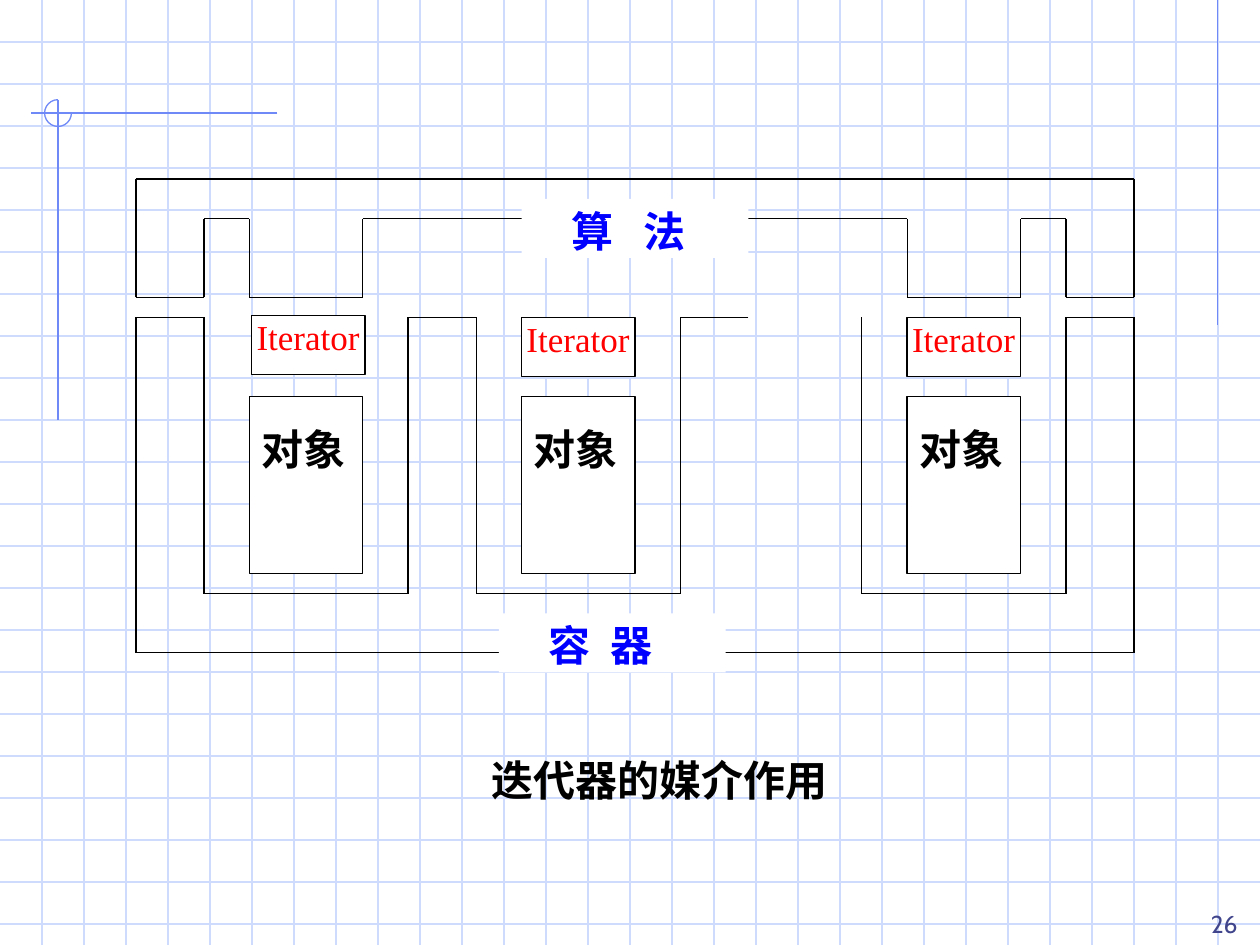
from dataclasses import dataclass
from itertools import pairwise
from typing import Iterable, Optional

import lxml.etree
import pptx
import pptx.dml.color
import pptx.enum.shapes
import pptx.enum.text
import pptx.oxml.ns
import pptx.shapes.autoshape
import pptx.slide
import pptx.util

Cm = pptx.util.Cm
Pt = pptx.util.Pt
Align = pptx.enum.text.PP_ALIGN
Anchor = pptx.enum.text.MSO_ANCHOR
Point = tuple[float, float]


@dataclass(frozen=True)
class TextStyle:
    font: str
    size: float
    color: str
    bold: bool = False
    align: Align = Align.JUSTIFY
    anchor: Anchor = Anchor.TOP
    insets: tuple[float, float, float, float] = (0.25, 0.13, 0.25, 0.13)
    tracking: int = 0


@dataclass(frozen=True)
class Theme:
    grid: str = "CFDBFD"
    ornament: str = "6F89F7"
    ink: str = "000000"
    paper: str = "FFFFFF"
    stroke: float = 0.75
    iterator: TextStyle = TextStyle("Times New Roman", 20, "FF0000", insets=(0.1, 0, 0, 0))
    element: TextStyle = TextStyle("Times New Roman", 24, "000000", True, insets=(0.25, 0.54, 0.25, 0.13))
    algorithm: TextStyle = TextStyle("Times New Roman", 24, "0000FF", True, insets=(1, 0.13, 0.25, 0.13), tracking=600)
    container: TextStyle = TextStyle("Times New Roman", 24, "0000FF", True, insets=(1, 0.13, 0.25, 0.13), tracking=300)
    caption: TextStyle = TextStyle("Cabin", 24, "000000", True, Align.CENTER)
    number: TextStyle = TextStyle("Cabin", 14, "40458C", False, Align.RIGHT, Anchor.BOTTOM)


@dataclass(frozen=True)
class Block:
    text: str
    column: float
    row: float
    columns: float
    rows: float
    style: TextStyle
    outlined: bool = True


THEME = Theme()
PAGE_WIDTH, PAGE_HEIGHT = 25.4, 19.05
GRID_STEP = 2.54 / 3
DIAGRAM_LEFT, DIAGRAM_TOP = 2.74, 3.61
COLUMN = 20.12 / 44
ROW = 9.55 / 24

ALGORITHM_OUTLINE = [
    (0, 0), (44, 0), (44, 6), (41, 6), (41, 2), (39, 2), (39, 6), (34, 6), (34, 2),
    (10, 2), (10, 6), (5, 6), (5, 2), (3, 2), (3, 6), (0, 6), (0, 0),
]
CONTAINER_OUTLINE = [
    (27, 7), (24, 7), (24, 21), (15, 21), (15, 7), (12, 7), (12, 21), (3, 21), (3, 7),
    (0, 7), (0, 24), (44, 24), (44, 7), (41, 7), (41, 21), (32, 21), (32, 7),
]
ITERATOR_PLACES = [(5.1, 6.9), (17, 7), (34, 7)]
ELEMENT_COLUMNS = [5, 17, 34]
BLOCKS = [
    *(Block("Iterator", column, row, 5, 3, THEME.iterator) for column, row in ITERATOR_PLACES),
    *(Block("对象", column, 11, 5, 9, THEME.element) for column in ELEMENT_COLUMNS),
    Block("容 器", 16, 22, 10, 3, THEME.container, False),
    Block("算 法", 17, 1, 10, 3, THEME.algorithm, False),
]


def rgb(color: str) -> pptx.dml.color.RGBColor:
    return pptx.dml.color.RGBColor.from_string(color)


def on_diagram(point: Point) -> Point:
    return DIAGRAM_LEFT + point[0] * COLUMN, DIAGRAM_TOP + point[1] * ROW


def draw_line(page: pptx.slide.Slide, start: Point, end: Point, color: str) -> None:
    line = page.shapes.add_connector(
        pptx.enum.shapes.MSO_CONNECTOR.STRAIGHT, Cm(start[0]), Cm(start[1]), Cm(end[0]), Cm(end[1])
    )
    line.line.color.rgb = rgb(color)
    line.line.width = Pt(THEME.stroke)
    properties = line._element.spPr
    lxml.etree.SubElement(properties, pptx.oxml.ns.qn("a:effectLst"))


def draw_outline(page: pptx.slide.Slide, points: Iterable[Point]) -> None:
    for start, end in pairwise(map(on_diagram, points)):
        draw_line(page, start, end, THEME.ink)


def write_text(box: pptx.shapes.autoshape.Shape, text: str, style: TextStyle) -> None:
    frame = box.text_frame
    frame.text = text
    frame.word_wrap = True
    frame.vertical_anchor = style.anchor
    left, top, right, bottom = map(Cm, style.insets)
    frame.margin_left, frame.margin_top = left, top
    frame.margin_right, frame.margin_bottom = right, bottom
    para = frame.paragraphs[0]
    para.alignment = style.align
    for span in para.runs:
        span.font.name = style.font
        span.font.size = Pt(style.size)
        span.font.bold = style.bold
        span.font.color.rgb = rgb(style.color)
        if style.tracking:
            span.font._element.set("spc", str(style.tracking))


def draw_block(page: pptx.slide.Slide, block: Block) -> None:
    left, top = on_diagram((block.column, block.row))
    box = page.shapes.add_shape(
        pptx.enum.shapes.MSO_SHAPE.RECTANGLE,
        Cm(left), Cm(top), Cm(block.columns * COLUMN), Cm(block.rows * ROW),
    )
    box.shadow.inherit = False
    box.fill.solid()
    box.fill.fore_color.rgb = rgb(THEME.paper)
    if block.outlined:
        box.line.color.rgb = rgb(THEME.ink)
        box.line.width = Pt(THEME.stroke)
    else:
        box.line.fill.background()
    write_text(box, block.text, block.style)


def draw_text(
    page: pptx.slide.Slide, text: str, left: float, top: float, width: float, height: float, style: TextStyle
) -> pptx.shapes.autoshape.Shape:
    box = page.shapes.add_textbox(Cm(left), Cm(top), Cm(width), Cm(height))
    write_text(box, text, style)
    return box


def draw_backdrop(page: pptx.slide.Slide) -> None:
    for index in range(1, 23):
        y = index * GRID_STEP
        draw_line(page, (0, y), (PAGE_WIDTH, y), THEME.grid)
    for index in range(1, 30):
        x = index * GRID_STEP
        draw_line(page, (x, 0), (x, PAGE_HEIGHT), THEME.grid)
    draw_line(page, (24.55, 0), (24.55, 6.55), THEME.ornament)
    draw_line(page, (5.59, 2.28), (0.63, 2.28), THEME.ornament)
    draw_line(page, (1.17, 2.02), (1.17, 8.47), THEME.ornament)
    arc = page.shapes.add_shape(pptx.enum.shapes.MSO_SHAPE.ARC, Cm(0.9), Cm(2.01), Cm(0.54), Cm(0.54))
    arc.adjustments[0] = 0
    arc.adjustments[1] = 162
    arc.shadow.inherit = False
    arc.fill.background()
    arc.line.color.rgb = rgb(THEME.ornament)
    arc.line.width = Pt(THEME.stroke)


def draw_caption(page: pptx.slide.Slide) -> None:
    caption = draw_text(page, "迭代器的媒介作用", 1.47, 15.04, 22.86, 2.97, THEME.caption)
    para = caption.text_frame.paragraphs[0]
    para.line_spacing = Pt(30)
    para.space_before = Pt(6)
    properties = para._p.get_or_add_pPr()
    properties.set("marL", str(Cm(1.32)))
    properties.set("indent", str(Cm(-0.53)))


def main(deck_name: Optional[str] = None) -> None:
    deck = pptx.Presentation()
    deck.slide_width, deck.slide_height = Cm(PAGE_WIDTH), Cm(PAGE_HEIGHT)
    page = deck.slides.add_slide(deck.slide_layouts[6])
    draw_backdrop(page)
    draw_caption(page)
    draw_outline(page, ALGORITHM_OUTLINE)
    draw_outline(page, CONTAINER_OUTLINE)
    for block in BLOCKS:
        draw_block(page, block)
    draw_text(page, "26", 23.5, 17.78, 1.7, 1.27, THEME.number)
    deck.save("out.pptx")


if __name__ == "__main__":
    main()
